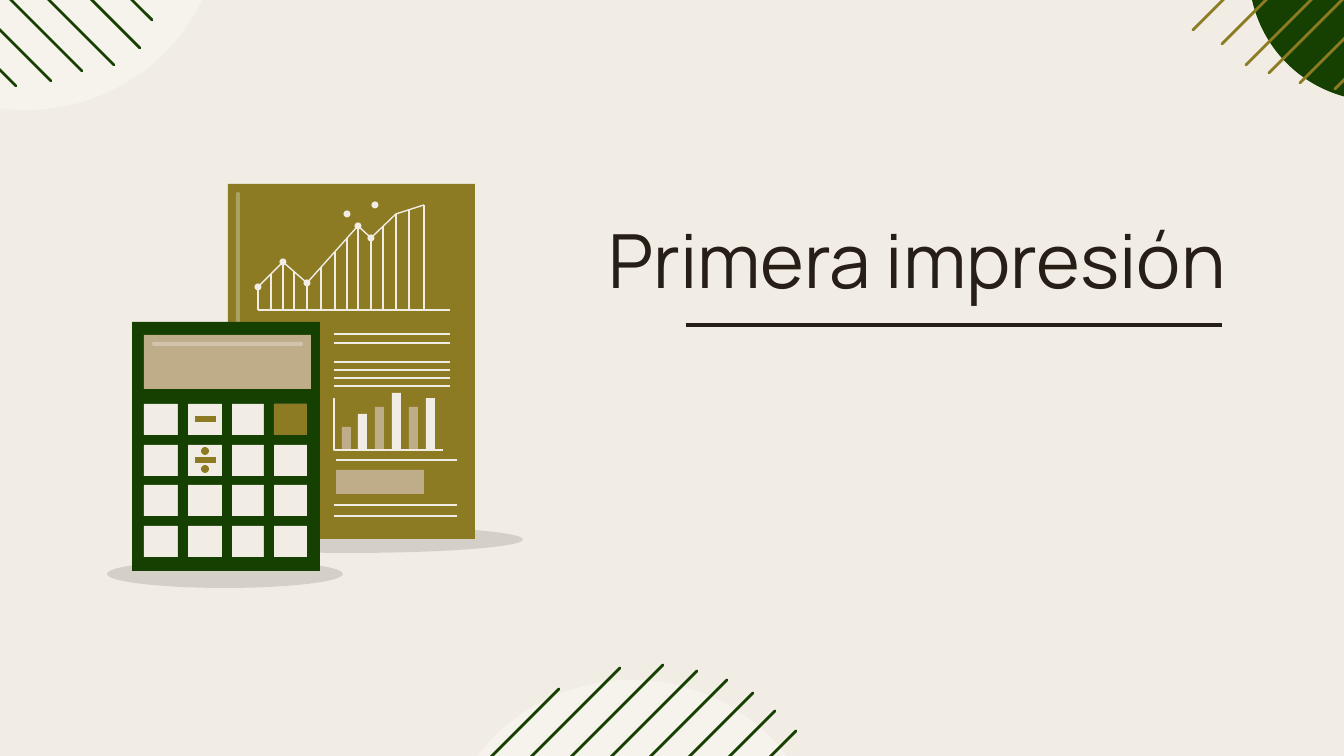
from dataclasses import dataclass

from pptx import Presentation
from pptx import util as u
from pptx.dml.color import RGBColor
from pptx.enum import shapes, text
from pptx.oxml.ns import qn
from pptx.oxml.xmlchemy import OxmlElement

SHAPE = shapes.MSO_SHAPE


@dataclass(frozen=True)
class Theme:
    paper: str = "F2EDE4"
    green: str = "154001"
    olive: str = "8C7B23"
    tan: str = "BFAD8A"
    ink: str = "261E17"
    white: str = "FFFFFF"
    black: str = "000000"
    font: str = "Manrope"
    title: float = 40
    thin: float = 0.75
    hatch: float = 1.5
    rule: float = 2.25
    sign: float = 2.85


class Canvas:
    """Draws styled elements on one slide, with lengths in px."""

    SCALE = 914400 / 134.4

    def __init__(self, theme):
        self.t = theme
        self.prs = Presentation()
        self.prs.slide_width, self.prs.slide_height = self.px(1344), self.px(756)
        self.s = self.prs.slides.add_slide(self.prs.slide_layouts[5])
        fill = self.s.background.fill
        fill.solid()
        fill.fore_color.rgb = RGBColor.from_string(theme.paper)

    def px(self, n):
        return u.Emu(round(n * self.SCALE))

    def stroke(self, line, color, width):
        line.color.rgb = RGBColor.from_string(color)
        line.width = u.Pt(width)

    def title(self, x, y, w, h, words):
        sp = self.s.shapes.title
        sp.left, sp.top, sp.width, sp.height = map(self.px, (x, y, w, h))
        tf = sp.text_frame
        tf.text = words
        tf.word_wrap = True
        tf.auto_size = text.MSO_AUTO_SIZE.NONE
        tf.vertical_anchor = text.MSO_ANCHOR.MIDDLE
        tf.margin_left = tf.margin_right = u.Inches(0.1)
        tf.margin_top = tf.margin_bottom = u.Inches(0.1)
        p = tf.paragraphs[0]
        p.alignment = text.PP_ALIGN.RIGHT
        f = p.runs[0].font
        f.name, f.size = self.t.font, u.Pt(self.t.title)
        f.color.rgb = RGBColor.from_string(self.t.ink)

    def shape(self, x, y, w, h, color, kind=SHAPE.RECTANGLE, alpha=100):
        sp = self.s.shapes.add_shape(kind, *map(self.px, (x, y, w, h)))
        sp.shadow.inherit = False
        sp.fill.solid()
        sp.fill.fore_color.rgb = RGBColor.from_string(color)
        if alpha < 100:
            a = OxmlElement("a:alpha")
            a.set("val", str(alpha * 1000))
            sp._element.spPr.find(".//" + qn("a:srgbClr")).append(a)
        sp.line.fill.background()
        return sp

    def ellipse(self, x, y, w, h, color, alpha=100):
        return self.shape(x, y, w, h, color, SHAPE.OVAL, alpha)

    def dot(self, cx, cy, d, color):
        return self.ellipse(cx - d / 2, cy - d / 2, d, d, color)

    def gleam(self, x, y, w, h):
        sp = self.shape(x, y, w, h, self.t.white, SHAPE.ROUNDED_RECTANGLE, 29)
        sp.adjustments[0] = 0.5

    def line(self, x1, y1, x2, y2, color, width, cap="flat"):
        ends = map(self.px, (x1, y1, x2, y2))
        c = self.s.shapes.add_connector(shapes.MSO_CONNECTOR.STRAIGHT, *ends)
        self.stroke(c.line, color, width)
        c.line._get_or_add_ln().set("cap", cap)
        c._element.spPr.append(OxmlElement("a:effectLst"))

    def polyline(self, points, color, width):
        fb = self.s.shapes.build_freeform(*points[0], scale=self.SCALE)
        fb.add_line_segments(points[1:], close=False)
        sp = fb.convert_to_shape()
        sp.shadow.inherit = False
        sp.fill.background()
        self.stroke(sp.line, color, width)

    def hatch(self, strokes, dx, dy, color):
        for x, y, run in strokes:
            self.line(x, y, x + dx * run, y + dy * run, color, self.t.hatch, "rnd")


def height_at(points, x):
    """Return the y of a polyline at x."""
    for (x1, y1), (x2, y2) in zip(points, points[1:]):
        if x1 <= x <= x2:
            return round(y1 + (y2 - y1) * (x - x1) / (x2 - x1))


def draw_corners(c):
    """Draw the discs and diagonal strokes at the slide's edges."""
    t = c.t
    c.ellipse(1249, -157, 258, 258, t.green)
    c.hatch([(1193, 30, 274), (1222, 44, 267), (1246, 65, 260), (1269, 73, 250),
             (1300, 83, 229), (1335, 89, 200)], 1, -1, t.olive)
    c.ellipse(-169, -277, 390, 387, t.white, 36)
    c.hatch([(152, 20, 268), (140, 48, 276), (114, 65, 268), (82, 71, 250),
             (51, 81, 229), (16, 86, 200)], -1, -1, t.green)
    c.ellipse(437, 680, 390, 387, t.white, 36)
    c.hatch([(796, 731, 268), (775, 711, 276), (753, 693, 268), (727, 680, 250),
             (697, 671, 229), (663, 665, 200), (620, 668, 155), (559, 689, 72)],
            -1, 1, t.green)


def draw_report(c):
    """Draw the report sheet with its trend, text lines and bars."""
    t = c.t
    c.ellipse(179, 526, 344, 27, t.black, 12)
    c.shape(228, 184, 247, 355, t.olive)
    c.gleam(236, 192, 4, 152)
    c.ellipse(107, 560, 236, 28, t.black, 12)

    base = 310
    trend = [(258, 287), (283, 262), (307, 283), (358, 226), (371, 238),
             (396, 214), (424, 205)]
    c.line(258, base, 450, base, t.paper, t.thin)
    c.polyline(trend, t.paper, t.thin)
    for x in (258, 271, 283, 294, 307, 321, 335, 347, 358, 371, 383, 396, 409, 424):
        c.line(x, height_at(trend, x), x, base, t.paper, t.thin)
    for x, y in trend[:5] + [(347, 214), (375, 205)]:
        c.dot(x, y, 7, t.paper)

    for y in (334, 343, 362, 370, 378, 386):
        c.line(334, y, 450, y, t.paper, t.thin)
    for i, h in enumerate((23, 36, 43, 57, 43, 52)):
        color = t.tan if i % 2 == 0 else t.paper
        c.shape(342 + 84 * i // 5, 450 - h, 9, h, color)
    c.polyline([(334, 398), (334, 450), (443, 450)], t.paper, t.thin)
    c.shape(336, 470, 88, 24, t.tan)
    for x, y in ((336, 460), (334, 505), (334, 516)):
        c.line(x, y, 457, y, t.paper, t.thin)


def draw_calculator(c):
    """Draw the calculator with its screen and keys."""
    t = c.t
    rows = (404, 445, 485, 526)
    c.shape(132, 322, 188, 249, t.green)
    c.shape(144, 335, 167, 54, t.tan)
    c.gleam(152, 342, 151, 4)
    for y in rows:
        c.shape(144, y, 163, 31, t.paper)
    for x in (178, 222, 264):
        c.shape(x, 398, 10, 166, t.green)
    c.shape(274, rows[0], 33, 31, t.olive)
    for y in (419, 460):
        c.line(195, y, 216, y, t.olive, t.sign)
    for y in (451, 469):
        c.dot(205, y, 8, t.olive)


def main():
    c = Canvas(Theme())
    draw_corners(c)
    c.title(511, 200, 728, 118, "Primera impresión")
    c.line(686, 325, 1222, 325, c.t.ink, c.t.rule)
    draw_report(c)
    draw_calculator(c)
    c.prs.save("out.pptx")


if __name__ == "__main__":
    main()
